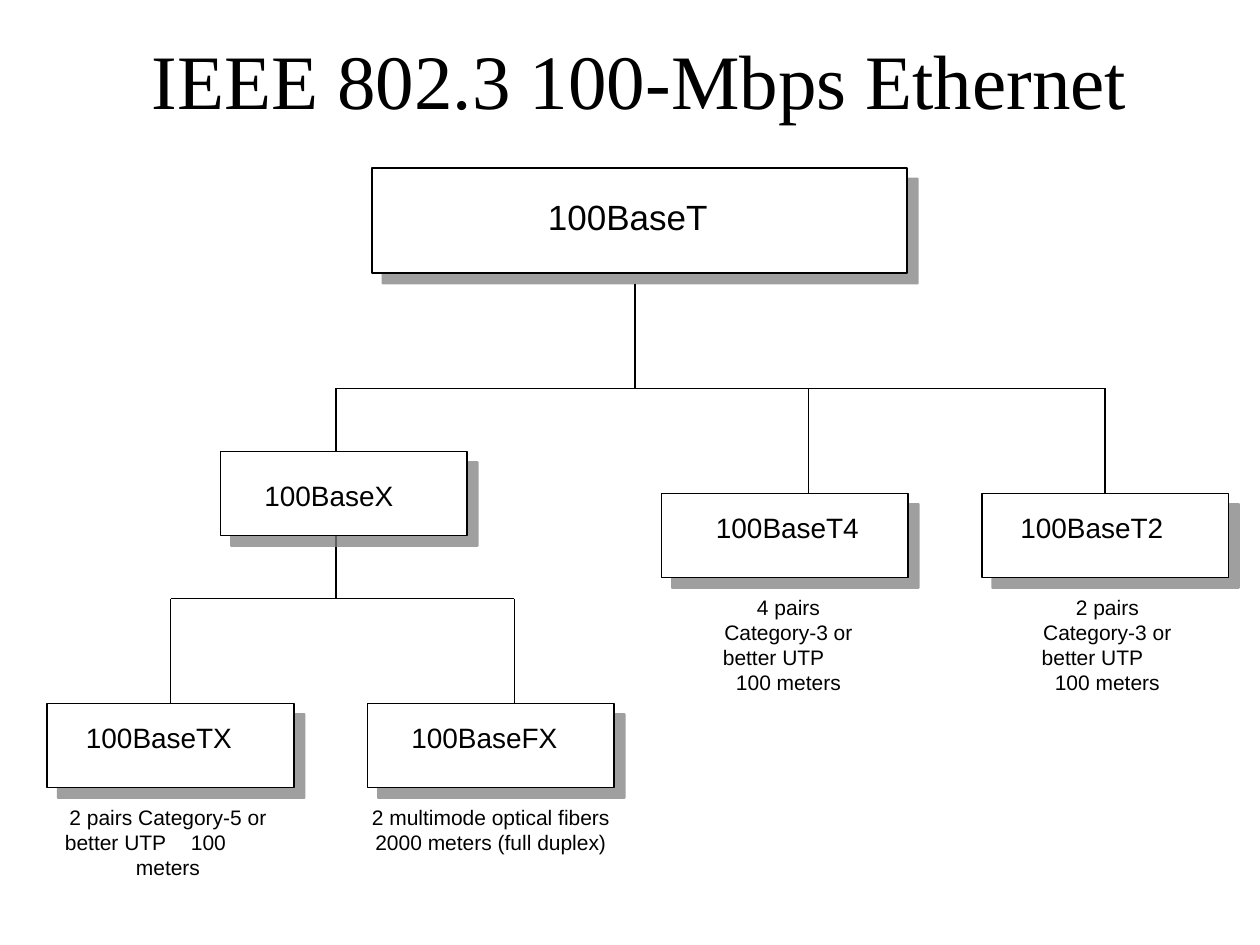
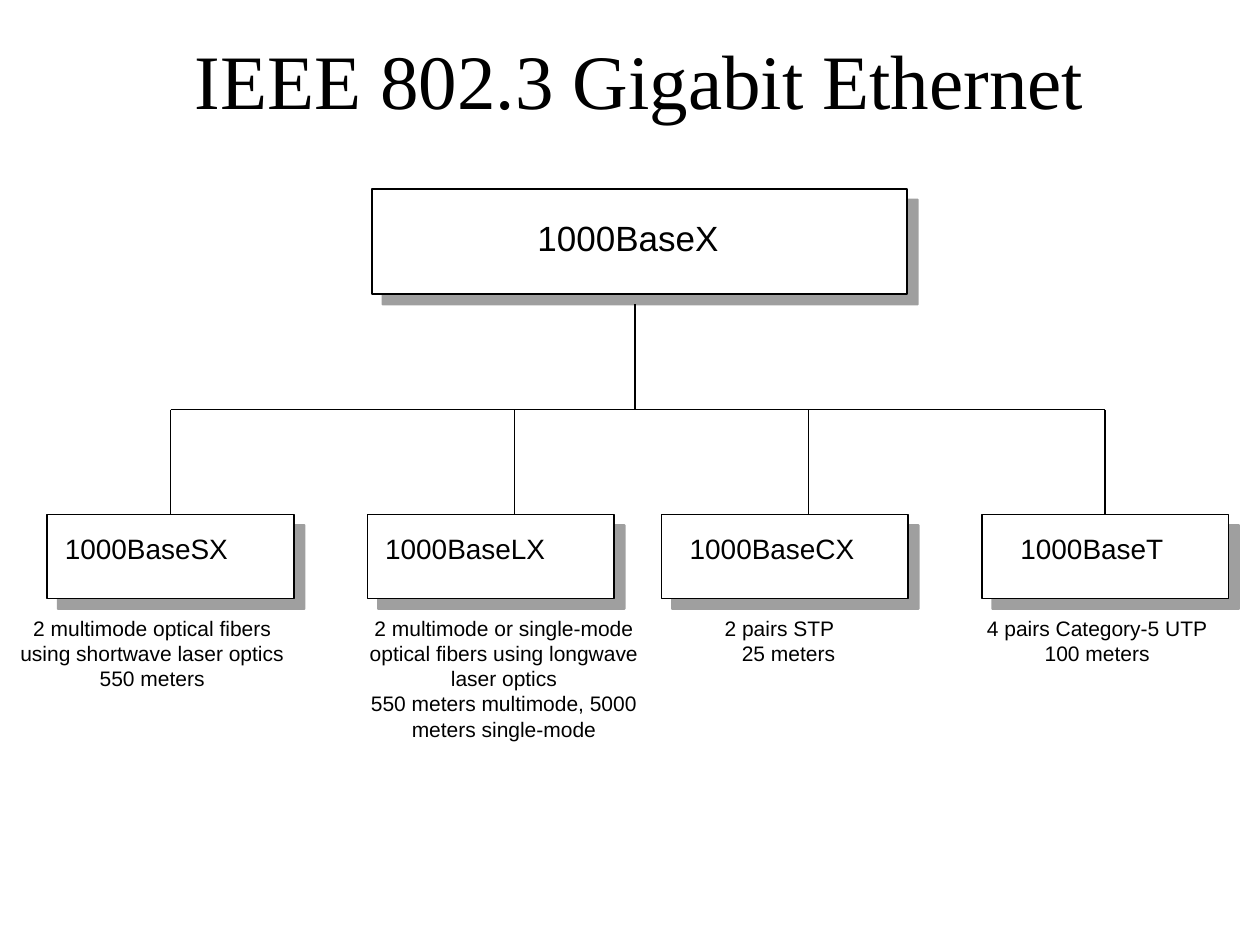
from dataclasses import dataclass

from lxml import etree
from pptx import Presentation
from pptx import util as u
from pptx.dml import color
from pptx.enum import shapes, text
from pptx.oxml import ns

Pt = u.Pt
INK, PAPER, SHADOW = "000000", "FFFFFF", "808080"
BODY_FONT, TITLE_FONT = "Arial", "Times New Roman"

TRUNK_X = 363
ROOT_LEFT, ROOT_W, ROOT_H = 212.5, 306, 60
NODE_W, NODE_H = 141, 48
DROP_H = 60
COLUMNS = (27, 210, 378, 561)
DROP_XS = (None, 294, 462, None)


@dataclass(frozen=True)
class Line:
    """A caption paragraph: centred, or left-aligned when an indent is given."""
    words: str
    indent: float | None = None
    tab: float | None = None


@dataclass(frozen=True)
class Caption:
    left: float
    width: float
    height: float
    lines: tuple[Line, ...]


@dataclass(frozen=True)
class Node:
    label: str
    column: int
    label_shift: float
    caption: Caption

    @property
    def left(self) -> float:
        return COLUMNS[self.column]

    @property
    def drop_x(self) -> float:
        return DROP_XS[self.column] or self.left + NODE_W / 2


@dataclass(frozen=True)
class Root:
    label: str
    top: float
    label_left: float

    @property
    def rail_y(self) -> float:
        return self.top + 126


def utp_lines(pairs: int) -> tuple[Line, ...]:
    return (Line(f"{pairs} pairs Category-3 or"), Line("better UTP", 6.4),
            Line("100 meters"))


FAST_ROOT = Root("100BaseT", 96, 306)
FAST_COPPER = (
    Node("100BaseT4", 2, 24, Caption(399.6, 102, 65, utp_lines(4))),
    Node("100BaseT2", 3, 15, Caption(581.8, 102, 65, utp_lines(2))),
)
FAST_X_LABEL, FAST_X_LEFT, FAST_X_STEM, FAST_X_RAIL_Y = "100BaseX", 126, 192, 342
FAST_X_CHILDREN = (
    Node("100BaseTX", 0, 15, Caption(30, 132, 73, (
        Line("2 pairs Category-5 or"), Line("better UTP\t100", 0, 97),
        Line("meters")))),
    Node("100BaseFX", 1, 18, Caption(195, 171, 36, (
        Line("2 multimode optical fibers 2000 meters (full duplex)"),))),
)

GIGABIT_ROOT = Root("1000BaseX", 108, 300)
GIGABIT_NODES = (
    Node("1000BaseSX", 0, 3, Caption(0, 174, 73, (
        Line("2 multimode optical fibers using shortwave laser optics 550 meters"),))),
    Node("1000BaseLX", 1, 3, Caption(195, 186, 79, (
        Line("2 multimode or single-mode optical fibers using longwave laser optics"),
        Line("550 meters multimode, 5000 meters single-mode")))),
    Node("1000BaseCX", 2, 9, Caption(399.6, 102, 36, (
        Line("2 pairs STP", 7.4), Line("25 meters")))),
    Node("1000BaseT", 3, 15, Caption(534, 186, 36, (
        Line("4 pairs Category-5 UTP"), Line("100 meters")))),
)


def rgb(hex_code: str) -> color.RGBColor:
    return color.RGBColor.from_string(hex_code)


def add_text(slide, left: float, top: float, width: float, height: float,
             lines: tuple[Line, ...], size: float, font: str = BODY_FONT):
    frame = slide.shapes.add_textbox(Pt(left), Pt(top), Pt(width), Pt(height)).text_frame
    frame.word_wrap = True
    for index, line in enumerate(lines):
        paragraph = frame.paragraphs[0] if index == 0 else frame.add_paragraph()
        paragraph.text = line.words
        paragraph.alignment = text.PP_ALIGN.CENTER
        if line.indent is not None:
            paragraph.alignment = text.PP_ALIGN.LEFT
            properties = paragraph._p.get_or_add_pPr()
            properties.set("marL", str(Pt(line.indent)))
            properties.set("indent", "0")
            if line.tab is not None:
                stops = etree.SubElement(properties, ns.qn("a:tabLst"))
                etree.SubElement(stops, ns.qn("a:tab"), pos=str(Pt(line.tab)), algn="l")
        paragraph.font.size = Pt(size)
        paragraph.font.name = font
        paragraph.font.color.rgb = rgb(INK)
    return frame


def add_title(slide, words: str) -> None:
    frame = add_text(slide, 36, 0, 648, 90, (Line(words),), 44, TITLE_FONT)
    frame.vertical_anchor = text.MSO_ANCHOR.MIDDLE
    frame.margin_left = Pt(18.2)


def add_box(slide, left: float, top: float, width: float, height: float):
    """Add a white, outlined rectangle with a hard shadow to the lower right."""
    box = slide.shapes.add_shape(shapes.MSO_SHAPE.RECTANGLE,
                                 Pt(left), Pt(top), Pt(width), Pt(height))
    box.fill.solid()
    box.fill.fore_color.rgb = rgb(PAPER)
    box.line.color.rgb = rgb(INK)
    box.line.width = Pt(1)
    box.shadow.inherit = False
    effects = box._element.spPr.find(ns.qn("a:effectLst"))
    shadow = etree.SubElement(effects, ns.qn("a:outerShdw"), blurRad="0",
                              dist=str(Pt(8.5)), dir="2700000", algn="ctr",
                              rotWithShape="0")
    tint = etree.SubElement(shadow, ns.qn("a:srgbClr"), val=SHADOW)
    etree.SubElement(tint, ns.qn("a:alpha"), val="75000")
    return box


def add_line(slide, x1: float, y1: float, x2: float, y2: float):
    line = slide.shapes.add_connector(shapes.MSO_CONNECTOR.STRAIGHT,
                                      Pt(x1), Pt(y1), Pt(x2), Pt(y2))
    line.line.color.rgb = rgb(INK)
    line.line.width = Pt(1)
    etree.SubElement(line._element.spPr, ns.qn("a:effectLst"))
    return line


def add_label(slide, left: float, top: float, words: str) -> None:
    add_text(slide, left, top, 126, 27, (Line(words, 0),), 16)


def draw_root(slide, root: Root) -> None:
    add_box(slide, ROOT_LEFT, root.top, ROOT_W, ROOT_H)
    add_text(slide, root.label_left, root.top + 12, 198, 32, (Line(root.label, 0),), 20)
    add_line(slide, TRUNK_X, root.top + 66, TRUNK_X, root.rail_y)


def draw_tier(slide, rail_y: float, nodes: tuple[Node, ...],
              rail_start: float | None = None) -> None:
    """Draw a rail with its nodes hanging below; it starts at the first drop by default."""
    first = nodes[0].drop_x if rail_start is None else rail_start
    add_line(slide, first, rail_y, nodes[-1].drop_x, rail_y)
    top = rail_y + DROP_H
    for node in nodes:
        box = add_box(slide, node.left, top, NODE_W, NODE_H)
        drop = add_line(slide, node.drop_x, rail_y, node.drop_x, top)
        if node.drop_x == node.left + NODE_W / 2:
            drop.end_connect(box, 0)
        add_label(slide, node.left + node.label_shift, top + 6, node.label)
        caption = node.caption
        add_text(slide, caption.left, top + 54, caption.width, caption.height,
                 caption.lines, 12)


def build_fast_ethernet(slide) -> None:
    add_title(slide, "IEEE 802.3 100-Mbps Ethernet")
    draw_root(slide, FAST_ROOT)
    rail_y = FAST_ROOT.rail_y
    draw_tier(slide, rail_y, FAST_COPPER, FAST_X_STEM)
    draw_tier(slide, FAST_X_RAIL_Y, FAST_X_CHILDREN)
    add_line(slide, FAST_X_STEM, rail_y, FAST_X_STEM, FAST_X_RAIL_Y)
    add_box(slide, FAST_X_LEFT, rail_y + 36, NODE_W, NODE_H)
    add_label(slide, FAST_X_LEFT + 18, rail_y + 48, FAST_X_LABEL)


def build_gigabit_ethernet(slide) -> None:
    add_title(slide, "IEEE 802.3 Gigabit Ethernet")
    draw_root(slide, GIGABIT_ROOT)
    draw_tier(slide, GIGABIT_ROOT.rail_y, GIGABIT_NODES)


def main() -> None:
    deck = Presentation()
    deck.slide_width, deck.slide_height = Pt(720), Pt(540)
    for build in (build_fast_ethernet, build_gigabit_ethernet):
        build(deck.slides.add_slide(deck.slide_layouts[6]))
    deck.save("out.pptx")


if __name__ == "__main__":
    main()
